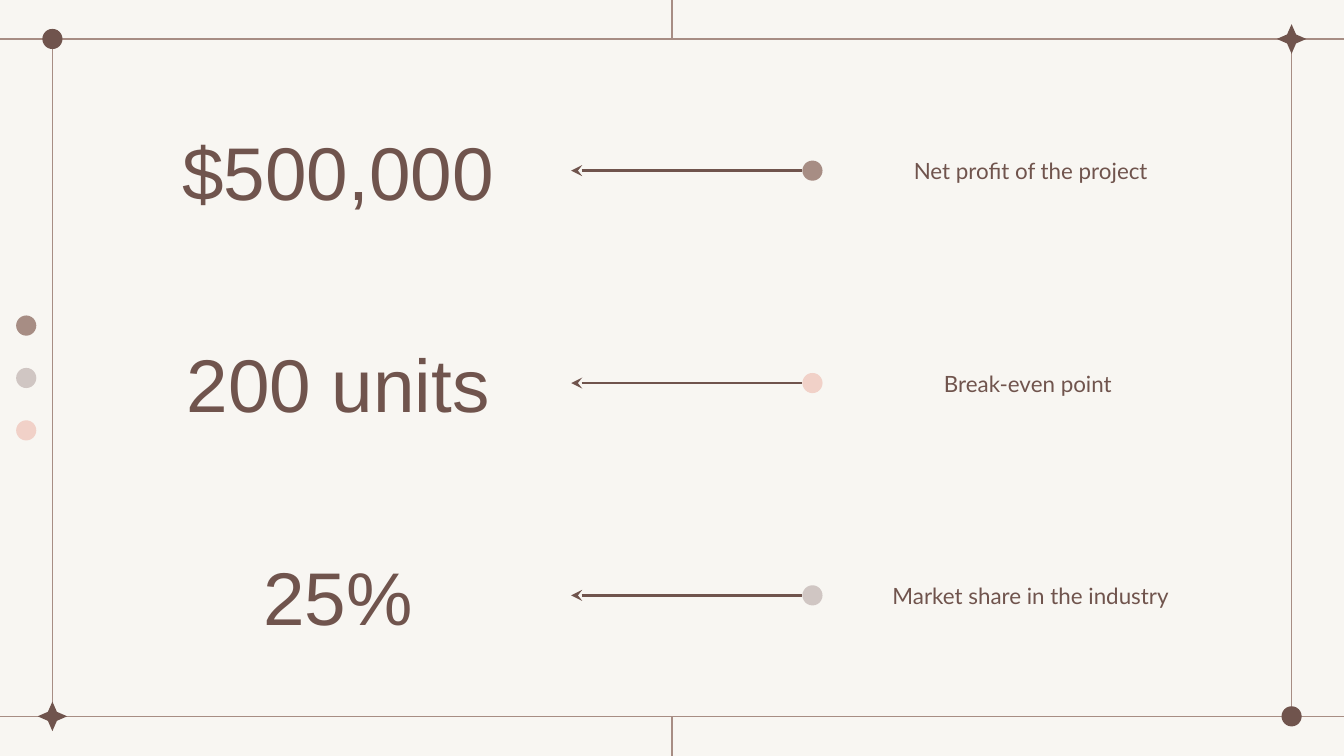
from lxml import etree
from pptx import Presentation
from pptx.dml.color import RGBColor
from pptx.enum.shapes import MSO_CONNECTOR, MSO_SHAPE
from pptx.enum.text import MSO_ANCHOR, PP_ALIGN
from pptx.oxml.ns import qn
from pptx.util import Inches, Pt

BACKGROUND = RGBColor(0xF8, 0xF6, 0xF2)
BROWN = RGBColor(0x70, 0x54, 0x4D)
TAUPE = RGBColor(0xA7, 0x8D, 0x84)
GREY = RGBColor(0xD0, 0xC6, 0xC3)
PINK = RGBColor(0xF1, 0xD1, 0xC8)

WIDTH = 10
HEIGHT = WIDTH * 9 / 16
DOT, STAR = 0.15, 0.22
FIGURE_FORMAT = {"name": "Arial", "size": Pt(40)}
LABEL_FORMAT = {"name": "Lato", "size": Pt(12)}

ROW_LEFT, ROW_TOP, ROW_PITCH = 0.78, 0.85, 1.58
ROWS = [
    ("$500,000", "Net profit of the project", TAUPE),
    ("200 units", "Break-even point ", PINK),
    ("25%", "Market share in the industry", GREY),
]


def add_marker(slide, preset, center_x, center_y, size, color):
    shape = slide.shapes.add_shape(
        preset, Inches(center_x - size / 2), Inches(center_y - size / 2),
        Inches(size), Inches(size))
    shape.shadow.inherit = False
    shape.fill.solid()
    shape.fill.fore_color.rgb = color
    shape.line.fill.background()
    return shape


def add_dot(slide, center_x, center_y, color):
    add_marker(slide, MSO_SHAPE.OVAL, center_x, center_y, DOT, color)


def add_star(slide, center_x, center_y):
    star = add_marker(slide, MSO_SHAPE.STAR_4_POINT, center_x, center_y, STAR, BROWN)
    star.adjustments[0] = 0.216


def add_line(slide, start, end, color, width):
    line = slide.shapes.add_connector(
        MSO_CONNECTOR.STRAIGHT, *(Inches(value) for value in (*start, *end)))
    line.line.color.rgb = color
    line.line.width = Pt(width)
    etree.SubElement(line._element.spPr, qn("a:effectLst"))
    return line


def add_arrow(slide, start, end):
    """Draw a line whose arrowhead sits at its start."""
    arrow = add_line(slide, start, end, BROWN, 1.5)
    etree.SubElement(arrow.line._get_or_add_ln(), qn("a:headEnd"), type="stealth")


def add_text(slide, left, top, width, height, text, font_format):
    box = slide.shapes.add_textbox(*(Inches(value) for value in (left, top, width, height)))
    frame = box.text_frame
    frame.word_wrap = True
    frame.vertical_anchor = MSO_ANCHOR.MIDDLE
    for side in ("left", "top", "right", "bottom"):
        setattr(frame, f"margin_{side}", Inches(0.1))
    paragraph = frame.paragraphs[0]
    paragraph.alignment = PP_ALIGN.CENTER
    run = paragraph.add_run()
    run.text = text
    run.font.color.rgb = BROWN
    for name, value in font_format.items():
        setattr(run.font, name, value)


def add_frame(slide, left, top, right, bottom):
    """Draw the border lines, the corner markers and the side dots."""
    center = WIDTH / 2
    for start, end in (
        ((right, top), (right, bottom)),
        ((left, top), (left, bottom)),
        ((0, top), (WIDTH, top)),
        ((0, bottom), (WIDTH, bottom)),
        ((center, 0), (center, top)),
        ((center, bottom), (center, HEIGHT)),
    ):
        add_line(slide, start, end, TAUPE, 0.75)
    for index, color in enumerate((TAUPE, GREY, PINK)):
        add_dot(slide, left / 2, HEIGHT / 2 + (index - 1) * 0.39, color)
    add_star(slide, right, top)
    add_star(slide, left, bottom)
    add_dot(slide, left, top, BROWN)
    add_dot(slide, right, bottom, BROWN)


def add_figure_row(slide, left, top, figure, label, color):
    """Place a large figure, an arrow pointing to it and its label."""
    figure_width, height, arrow_length = 3.47, 0.84, 1.72
    middle = top + height / 2
    arrow_left = left + figure_width
    dot_left = arrow_left + arrow_length
    label_height = 0.45
    add_text(slide, left, top, figure_width, height, figure, FIGURE_FORMAT)
    add_text(slide, dot_left + DOT, middle - label_height / 2, 3.1, label_height,
             label, LABEL_FORMAT)
    add_dot(slide, dot_left + DOT / 2, middle, color)
    add_arrow(slide, (arrow_left, middle), (dot_left, middle))


def main():
    presentation = Presentation()
    presentation.slide_width = Inches(WIDTH)
    presentation.slide_height = Inches(HEIGHT)
    slide = presentation.slides.add_slide(presentation.slide_layouts[6])
    slide.background.fill.solid()
    slide.background.fill.fore_color.rgb = BACKGROUND
    add_frame(slide, 0.39, 0.29, 9.61, 5.33)
    for index, (figure, label, color) in enumerate(ROWS):
        add_figure_row(slide, ROW_LEFT, ROW_TOP + index * ROW_PITCH, figure, label, color)
    presentation.save("out.pptx")


if __name__ == "__main__":
    main()
